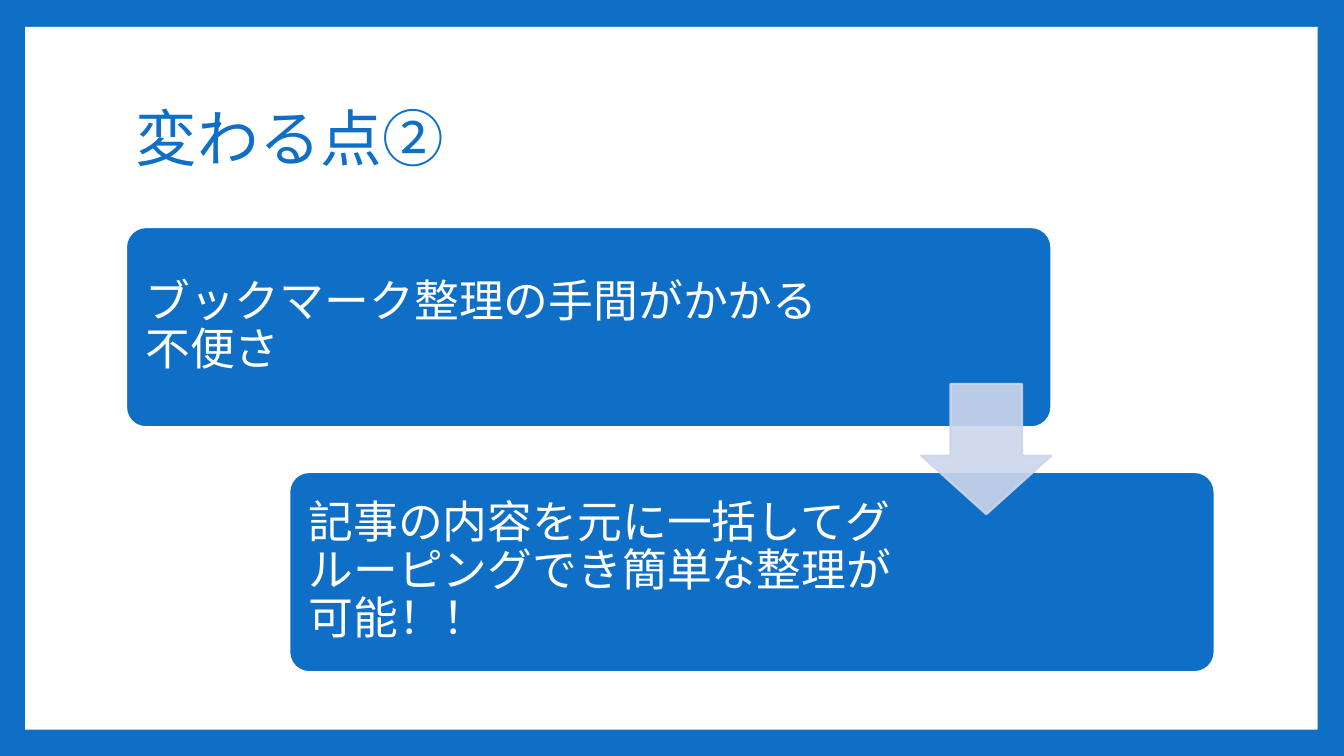
import dataclasses

import lxml.etree
import pptx
import pptx.dml.color
import pptx.enum.shapes
import pptx.enum.text
import pptx.oxml.ns
import pptx.util

Pt = pptx.util.Pt
SHAPES = pptx.enum.shapes.MSO_SHAPE


@dataclasses.dataclass(frozen=True)
class Theme:
    blue: str = "0F6FC6"
    white: str = "FFFFFF"
    arrow: str = "CCD5EA"
    font: str = "Calibri"
    title_size: int = 44
    body_size: int = 32
    outline: float = 1.5


def set_color(fill, color, opacity=100):
    fill.solid()
    fill.fore_color.rgb = pptx.dml.color.RGBColor.from_string(color)
    if opacity < 100:
        name = pptx.oxml.ns.qn("a:srgbClr")
        for element in fill._xPr.find(pptx.oxml.ns.qn("a:solidFill")).iter(name):
            alpha = lxml.etree.SubElement(element, pptx.oxml.ns.qn("a:alpha"))
            alpha.set("val", str(opacity * 1000))


class SlideBuilder:
    def __init__(self, slide, theme):
        self.slide = slide
        self.theme = theme

    def background(self, color):
        set_color(self.slide.background.fill, color)

    def shape(self, kind, bounds, color, outline=None, adjustments=(), opacity=100):
        shape = self.slide.shapes.add_shape(kind, *map(Pt, bounds))
        shape.shadow.inherit = False
        for index, value in enumerate(adjustments):
            shape.adjustments[index] = value
        set_color(shape.fill, color, opacity)
        if outline:
            set_color(shape.line.fill, outline, opacity)
            shape.line.width = Pt(self.theme.outline)
        else:
            shape.line.fill.background()

    def text(self, words, bounds, size, color, inset=None):
        frame = self.slide.shapes.add_textbox(*map(Pt, bounds)).text_frame
        frame_format = {
            "word_wrap": True,
            "vertical_anchor": pptx.enum.text.MSO_ANCHOR.MIDDLE,
        }
        if inset:
            for side in ("left", "top", "right", "bottom"):
                frame_format[f"margin_{side}"] = Pt(inset)
        for name, value in frame_format.items():
            setattr(frame, name, value)
        paragraph = frame.paragraphs[0]
        paragraph.line_spacing = 0.9
        run = paragraph.add_run()
        run.text = words
        for name, value in {"name": self.theme.font, "size": Pt(size)}.items():
            setattr(run.font, name, value)
        set_color(run.font.fill, color)


def main():
    theme = Theme()
    presentation = pptx.Presentation()
    presentation.slide_width = Pt(960)
    presentation.slide_height = Pt(540)
    slide = presentation.slides.add_slide(presentation.slide_layouts[6])
    builder = SlideBuilder(slide, theme)

    builder.background(theme.blue)
    builder.shape(SHAPES.RECTANGLE, (18, 19.2, 923.3, 502), theme.white)
    builder.text("変わる点②", (90, 48, 777.6, 106.6), theme.title_size, theme.blue)

    steps = (
        ("ブックマーク整理の手間がかかる不便さ", 512.6),
        ("記事の内容を元に一括してグルーピングでき簡単な整理が可能！！", 442.8),
    )
    for index, (words, text_width) in enumerate(steps):
        left, top = 90 + 116.6 * index, 162.2 + 174.9 * index
        builder.shape(SHAPES.ROUNDED_RECTANGLE, (left, top, 661, 143),
                      theme.blue, theme.white, (0.1,))
        builder.text(words, (left + 4.2, top + 4.2, text_width, 134.6),
                     theme.body_size, theme.white, 9.6)

    builder.shape(SHAPES.DOWN_ARROW, (658, 274.3, 93, 93), theme.arrow,
                  theme.arrow, (0.55, 0.45), 90)
    presentation.save("out.pptx")


if __name__ == "__main__":
    main()
